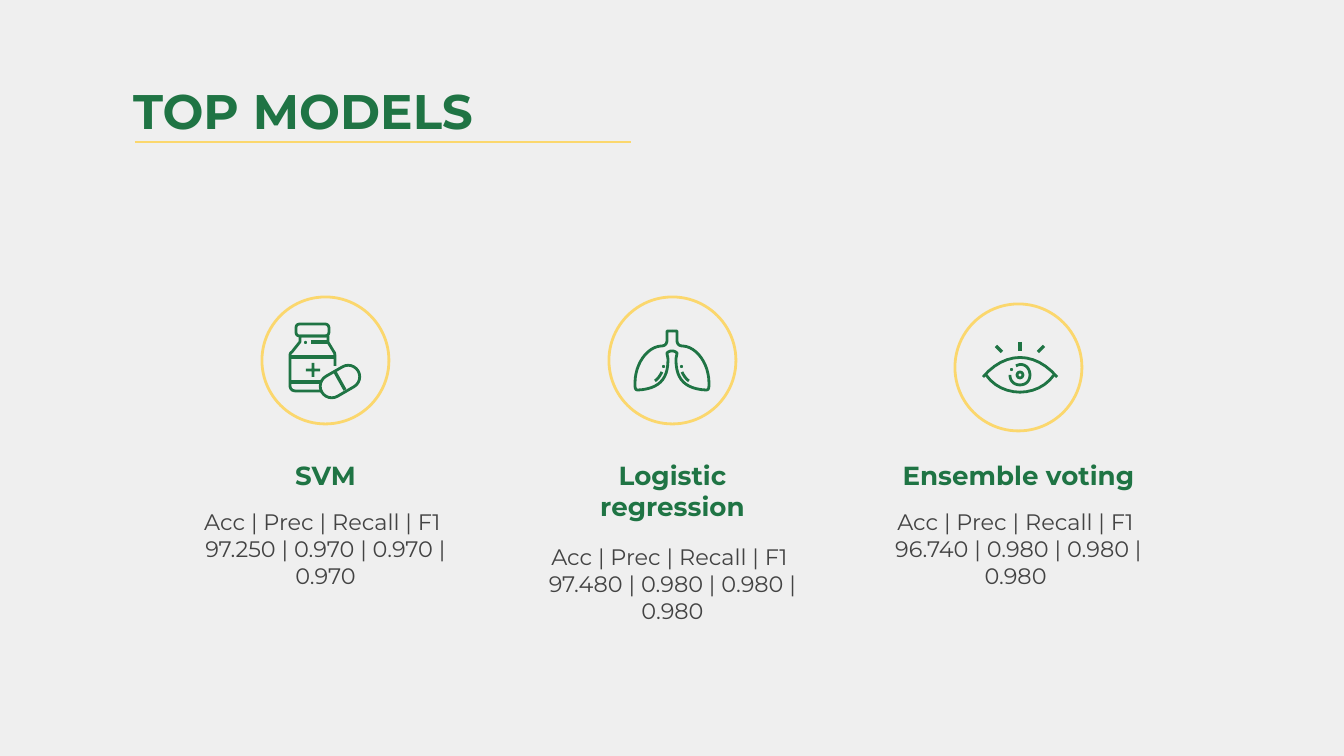
from lxml import etree
from pptx import Presentation
from pptx.dml.color import RGBColor
from pptx.enum.shapes import MSO_CONNECTOR as Connector, MSO_SHAPE as Shape
from pptx.enum.text import MSO_ANCHOR as Anchor, MSO_AUTO_SIZE as AutoSize, PP_ALIGN as Align
from pptx.oxml.ns import qn
from pptx.util import Pt

PX = 914400 / 134.4
FONT = "Montserrat"
COLORS = {name: RGBColor.from_string(value) for name, value in {
    "background": "EFEFEF", "green": "1F7444", "yellow": "FBD76D", "text": "434343"}.items()}

deck = Presentation()
deck.slide_width, deck.slide_height = round(1344 * PX), round(756 * PX)
page = deck.slides.add_slide(deck.slide_layouts[5])
page.background.fill.solid()
page.background.fill.fore_color.rgb = COLORS["background"]


def draw_line(x1, y1, x2, y2, color="green", width=1.75):
    line = page.shapes.add_connector(
        Connector.STRAIGHT, *(round(value * PX) for value in (x1, y1, x2, y2)))
    line.line.color.rgb = COLORS[color]
    line.line.width = Pt(width)
    etree.SubElement(line._element.spPr, qn("a:effectLst"))


def draw_path(start, *steps):
    """Stroke an open path: a step of two numbers is a line, of six a cubic curve."""
    points = [start]
    for step in steps:
        if len(step) == 2:
            points.append(step)
            continue
        corners = [points[-1], step[:2], step[2:4], step[4:]]
        for t in (n / 12 for n in range(1, 13)):
            weights = ((1 - t) ** 3, 3 * t * (1 - t) ** 2, 3 * t * t * (1 - t), t ** 3)
            points.append(tuple(sum(w * corner[axis] for w, corner in zip(weights, corners))
                                for axis in (0, 1)))
    points = [(round(x * PX), round(y * PX)) for x, y in points]
    builder = page.shapes.build_freeform(*points[0])
    builder.add_line_segments(points[1:], close=False)
    path = builder.convert_to_shape()
    path.shadow.inherit = False
    path.fill.background()
    path.line.color.rgb = COLORS["green"]
    path.line.width = Pt(1.5)


# Texts: box, content, size, colour, bold, alignment
texts = [(page.shapes.title, (120, 68, 1103, 85), ["TOP MODELS"], 26, "green", True, Align.LEFT)]

# Three model columns: left, name, scores, circle top, scores top
models = [
    (188, "SVM", "97.250 | 0.970 | 0.970 | 0.970", 297, 495),
    (535, "Logistic regression", "97.480 | 0.980 | 0.980 | 0.980", 297, 530),
    (881, "Ensemble voting", "96.740 | 0.980 | 0.980 | 0.980 ", 304, 495),
]
outlines = []
for left, name, scores, circle_top, scores_top in models:
    outlines.append((Shape.OVAL, (left + 74, circle_top, 127, 127), "yellow", 0))
    texts.append((None, (left, 446, 275, 85), [name], 14, "green", True, Align.CENTER))
    texts.append((None, (left, scores_top, 275, 117),
                  ["Acc | Prec | Recall | F1 ", scores], 12, "text", False, Align.CENTER))

for box, bounds, lines, size, color, bold, align in texts:
    bounds = [round(value * PX) for value in bounds]
    box = box or page.shapes.add_textbox(*bounds)
    box.left, box.top, box.width, box.height = bounds
    frame = box.text_frame
    frame.text = "\n".join(lines)
    frame.word_wrap = True
    frame.auto_size = AutoSize.NONE
    frame.vertical_anchor = Anchor.TOP
    frame.margin_left = frame.margin_right = frame.margin_top = frame.margin_bottom = round(13 * PX)
    for para in frame.paragraphs:
        para.alignment = align
        para.font.name, para.font.size, para.font.bold = FONT, Pt(size), bold
        para.font.color.rgb = COLORS[color]

# Rule under the title
draw_line(135, 142, 631, 142, "yellow", 1.5)

# Circles, bottle cap, capsule and pupil
outlines += [
    (Shape.ROUNDED_RECTANGLE, (296, 324, 33, 12), "green", 0),
    (Shape.ROUNDED_RECTANGLE, (319, 370, 42, 23), "green", -30),
    (Shape.OVAL, (1017, 372, 6, 6), "green", 0),
]
for kind, bounds, color, angle in outlines:
    outline = page.shapes.add_shape(kind, *(round(value * PX) for value in bounds))
    outline.shadow.inherit = False
    outline.fill.background()
    outline.line.color.rgb = COLORS[color]
    outline.line.width = Pt(1.5)
    outline.rotation = angle
    if kind == Shape.ROUNDED_RECTANGLE:
        outline.adjustments[0] = 0.5 if angle else 0.3

# Bottle
draw_path((321, 391), (296, 391), (292, 391, 290, 389, 290, 385), (290, 357),
          (290, 355, 290, 353, 292, 352), (300, 342), (300, 336), (328, 336), (328, 342),
          (334, 352), (335, 353, 335, 355, 335, 357), (335, 366))

# Lungs, mirrored about the middle
for side in (-1, 1):
    half = [(0, 331), (5, 331), (5, 340), (5, 344, 7, 346, 11, 346),
            (25, 347, 37, 364, 37, 383), (37, 388, 37, 390, 34, 390),
            (14, 389, 4, 380, 4, 360), (4, 357, 5, 355, 5, 353), (3, 351, 1, 351, 0, 351)]
    mark = [(10, 372), (12, 376, 14, 379, 17, 381)]
    for curve in (half, mark):
        draw_path(*(tuple(value if n % 2 else 672 + side * value for n, value in enumerate(step))
                    for step in curve))

# Eye: lids and iris
draw_path((983, 377), (1005, 351, 1035, 351, 1057, 377))
draw_path((986, 375), (1002, 398, 1038, 398, 1054, 375))
draw_path((1016, 366), (1023, 362, 1030, 367, 1030, 375),
          (1030, 381, 1026, 385, 1020, 385), (1014, 385, 1010, 381, 1010, 375))

# Straight strokes: bottle bands, capsule seam, lashes
for stroke in [(290, 357, 335, 357), (290, 382, 321, 382), (311, 342, 328, 342),
               (335, 372, 345, 390),
               (1020, 342, 1020, 351), (996, 346, 1002, 352), (1044, 346, 1038, 352)]:
    draw_line(*stroke)

# Solid marks: medical cross and small dots
marks = [(Shape.CROSS, 306, 363, 14)]
marks += [(Shape.OVAL, x, y, 3) for x, y in [(304, 341), (662, 365), (680, 365), (1010, 368)]]
for kind, x, y, size in marks:
    mark = page.shapes.add_shape(kind, *(round(value * PX) for value in (x, y, size, size)))
    mark.shadow.inherit = False
    mark.fill.solid()
    mark.fill.fore_color.rgb = COLORS["green"]
    mark.line.fill.background()
    if kind == Shape.CROSS:
        mark.adjustments[0] = 0.4

deck.save("out.pptx")
